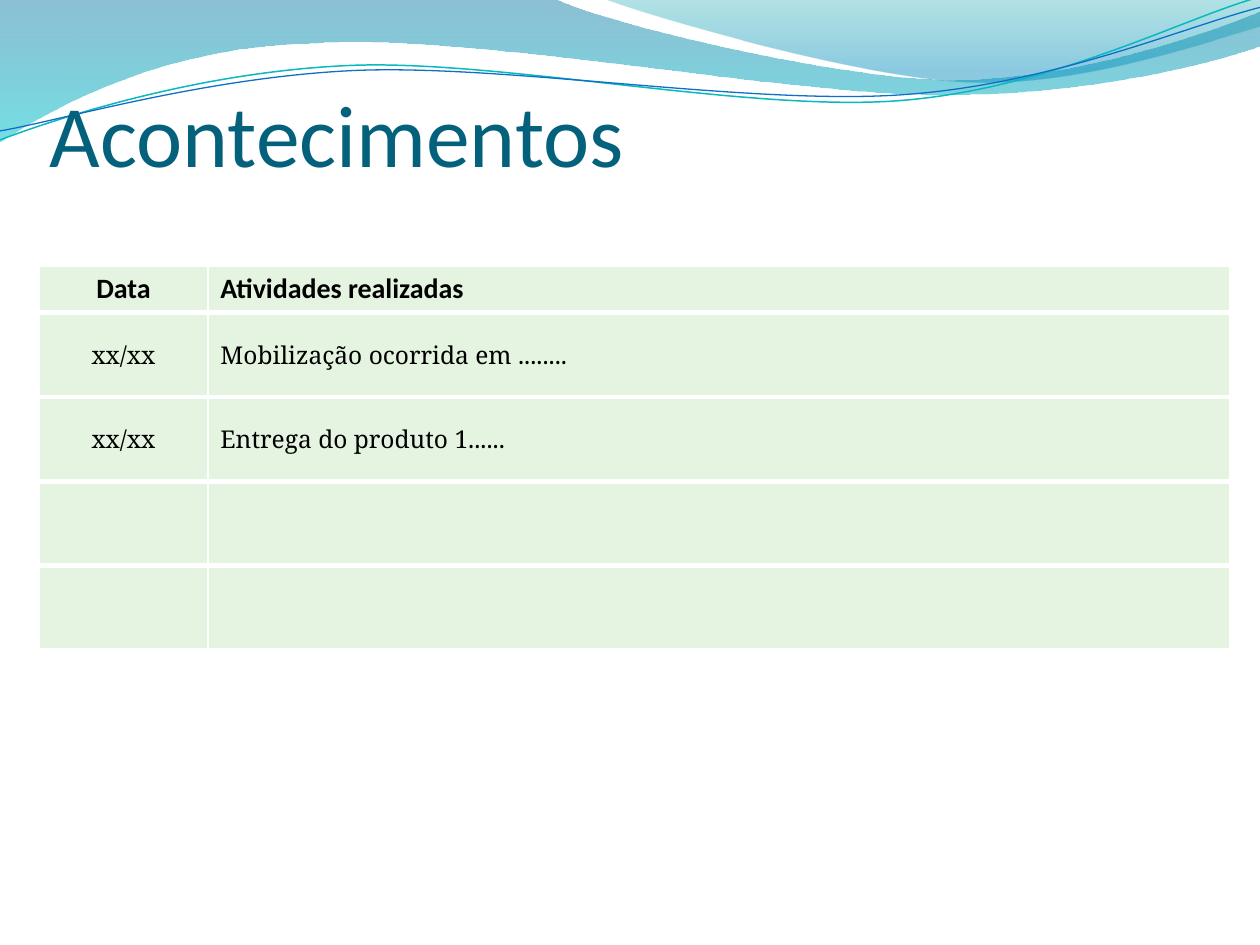
from dataclasses import dataclass
from math import cos, radians, sin

from lxml import etree
from pptx import Presentation
from pptx.dml.color import RGBColor
from pptx.enum.text import MSO_ANCHOR, MSO_AUTO_SIZE, PP_ALIGN
from pptx.oxml.ns import qn
from pptx.util import Cm, Pt

LEFT, CENTER, JUSTIFY = PP_ALIGN.LEFT, PP_ALIGN.CENTER, PP_ALIGN.JUSTIFY
MIDDLE, BOTTOM = MSO_ANCHOR.MIDDLE, MSO_ANCHOR.BOTTOM
NO_AUTOFIT = MSO_AUTO_SIZE.NONE
TITLE_ONLY = 5
CURVE_TILT = 357.3


@dataclass(frozen=True)
class Theme:
    heading_font: str = "Calibri"
    body_font: str = "Noto Serif"
    title_size: float = 50
    header_size: float = 16
    body_size: float = 14
    title_color: str = "04617B"
    text_color: str = "000000"
    cell_color: str = "E5F4E0"
    border_color: str = "FFFFFF"
    # Gradient stops: position, colour, opacity in percent
    wide_wave: tuple = ((0, "0074A1", 45), (1, "00C6CF", 55))
    right_wave: tuple = ((0, "00A1A9", 30), (0.8, "008BBF", 45))
    teal_line: str = "0AB8BF"
    blue_line: str = "0F6FC6"


def turn(point, center, degrees):
    """Return the point turned clockwise about the center."""
    x, y = point[0] - center[0], point[1] - center[1]
    cosine, sine = cos(radians(degrees)), sin(radians(degrees))
    return center[0] + x * cosine - y * sine, center[1] + x * sine + y * cosine


class SlideBuilder:
    def __init__(self, slide, theme):
        self.slide = slide
        self.theme = theme

    def add_run(self, paragraph, text, font, size, color, bold=False):
        run = paragraph.add_run()
        run.text = text
        run.font.name = font
        run.font.size = Pt(size)
        run.font.bold = bold
        run.font.color.rgb = RGBColor.from_string(color)

    def add_outline(self, start, segments, closed):
        """Draw one-point segments as lines and three-point segments as cubic curves."""
        points = [(Cm(x), Cm(y)) for x, y in [start, *sum(segments, [])]]
        builder = self.slide.shapes.build_freeform(*points[0])
        builder.add_line_segments(points[1:], close=closed)
        shape = builder.convert_to_shape()
        shape.shadow.inherit = False
        steps = iter(list(shape.element.iter(qn("a:lnTo"))))
        for segment in segments:
            step = next(steps)
            if len(segment) == 3:
                step.addprevious(curve := etree.Element(qn("a:cubicBezTo")))
                for part in (step, next(steps), next(steps)):
                    curve.append(part[0])
                    part.getparent().remove(part)
        return shape

    def add_wave(self, start, segments, stops):
        shape = self.add_outline(start, segments, True)
        shape.line.fill.background()
        shape.fill.gradient()
        shape.fill.gradient_angle = 270
        for gradient_stop, (position, color, opacity) in zip(shape.fill.gradient_stops, stops):
            gradient_stop.position = position
            gradient_stop.color.rgb = RGBColor.from_string(color)
        for color_element, stop in zip(shape.element.spPr.iter(qn("a:srgbClr")), stops):
            etree.SubElement(color_element, qn("a:alpha"), val=str(stop[2] * 1000))

    def add_curve(self, center, start, segments, color, width):
        level = [[turn(point, center, -CURVE_TILT) for point in segment] for segment in segments]
        shape = self.add_outline(turn(start, center, -CURVE_TILT), level, False)
        shape.rotation = CURVE_TILT
        shape.fill.background()
        shape.line.color.rgb = RGBColor.from_string(color)
        shape.line.width = Pt(width)

    def set_title(self, text, left, top, width, height):
        title = self.slide.shapes.title
        title.left, title.top, title.width, title.height = map(Cm, (left, top, width, height))
        frame = title.text_frame
        frame.auto_size = NO_AUTOFIT
        frame.word_wrap = True
        frame.vertical_anchor = BOTTOM
        frame.margin_left = frame.margin_right = frame.margin_bottom = 0
        frame.margin_top = Cm(0.13)
        paragraph = frame.paragraphs[0]
        paragraph.alignment = LEFT
        self.add_run(paragraph, text, self.theme.heading_font,
                     self.theme.title_size, self.theme.title_color)
        # The title lies above the waves
        title.element.getparent().append(title.element)

    def set_borders(self, cell, widths):
        properties = cell._tc.get_or_add_tcPr()
        for side, width in widths.items():
            line = etree.SubElement(properties, qn(f"a:ln{side}"), w=str(Pt(width)))
            fill = etree.SubElement(line, qn("a:solidFill"))
            etree.SubElement(fill, qn("a:srgbClr"), val=self.theme.border_color)

    def add_table(self, left, top, column_widths, row_heights, rows):
        theme = self.theme
        table = self.slide.shapes.add_table(
            len(rows), len(column_widths), Cm(left), Cm(top),
            Cm(sum(column_widths)), Cm(sum(row_heights))).table
        table.horz_banding = False
        table.first_row = False
        for column, width in zip(table.columns, column_widths):
            column.width = Cm(width)
        for row_index, texts in enumerate(rows):
            header = row_index == 0
            table.rows[row_index].height = Cm(row_heights[row_index])
            for column_index, text in enumerate(texts):
                cell = table.cell(row_index, column_index)
                self.set_borders(cell, {"L": 1, "R": 1, "T": 1 if header else 3, "B": 3})
                cell.fill.solid()
                cell.fill.fore_color.rgb = RGBColor.from_string(theme.cell_color)
                cell.vertical_anchor = MIDDLE
                if not text:
                    continue
                paragraph = cell.text_frame.paragraphs[0]
                body_alignment = LEFT if header else JUSTIFY
                paragraph.alignment = CENTER if column_index == 0 else body_alignment
                self.add_run(paragraph, text,
                             theme.heading_font if header else theme.body_font,
                             theme.header_size if header else theme.body_size,
                             theme.text_color, header)


presentation = Presentation()
presentation.slide_width, presentation.slide_height = Cm(25.4), Cm(19.05)
theme = Theme()
slide = presentation.slides.add_slide(presentation.slide_layouts[TITLE_ONLY])
builder = SlideBuilder(slide, theme)

# Waves along the top edge
builder.add_wave((0, 0), [
    [(11.18, -0.03)],
    [(12.09, 0.43), (16.87, 1.6), (19.25, 1.6)],
    [(21.67, 1.6), (24.33, 0.66), (25.4, 0.23)],
    [(25.43, 0.91)],
    [(24.97, 1.12), (22.1, 1.93), (18.95, 1.91)],
    [(15.8, 1.91), (9.7, 0.71), (6.53, 0.86)],
    [(3.28, 0.91), (1.17, 2.11), (-0.03, 2.87)],
], theme.wide_wave)
builder.add_wave((12.17, -0.03), [
    [(12.93, 0.28), (17.32, 1.57), (19.53, 1.65)],
    [(21.74, 1.75), (24.41, 0.81), (25.4, 0.53)],
    [(25.4, 0)],
], theme.right_wave)

# Thin curves across the waves
builder.add_curve((12.67, 1.46), (0, 2.82), [
    [(1.22, 2.36), (4.01, 1.45), (7.04, 1.32)],
    [(10.03, 1.19), (15.06, 2.26), (18.11, 2.03)],
    [(21.16, 1.8), (23.83, 0.38), (25.35, -0.05)],
], theme.teal_line, 0.85)
builder.add_curve((12.69, 1.5), (0, 2.64), [
    [(1.19, 2.44), (4.17, 1.55), (7.19, 1.42)],
    [(10.24, 1.3), (15.16, 2.13), (18.21, 1.91)],
    [(21.23, 1.7), (23.9, 0.53), (25.4, 0.15)],
], theme.blue_line, 0.75)

# Table of events
builder.add_table(0.79, 5.36, [3.4, 20.6], [0.81] + [1.7] * 4, [
    ("Data", "Atividades realizadas"),
    ("xx/xx", "Mobilização ocorrida em ........"),
    ("xx/xx", "Entrega do produto 1......"),
    ("", ""),
    ("", ""),
])

# Title
builder.set_title("Acontecimentos", 1, 1.2, 22.43, 2.54)

presentation.save("out.pptx")
